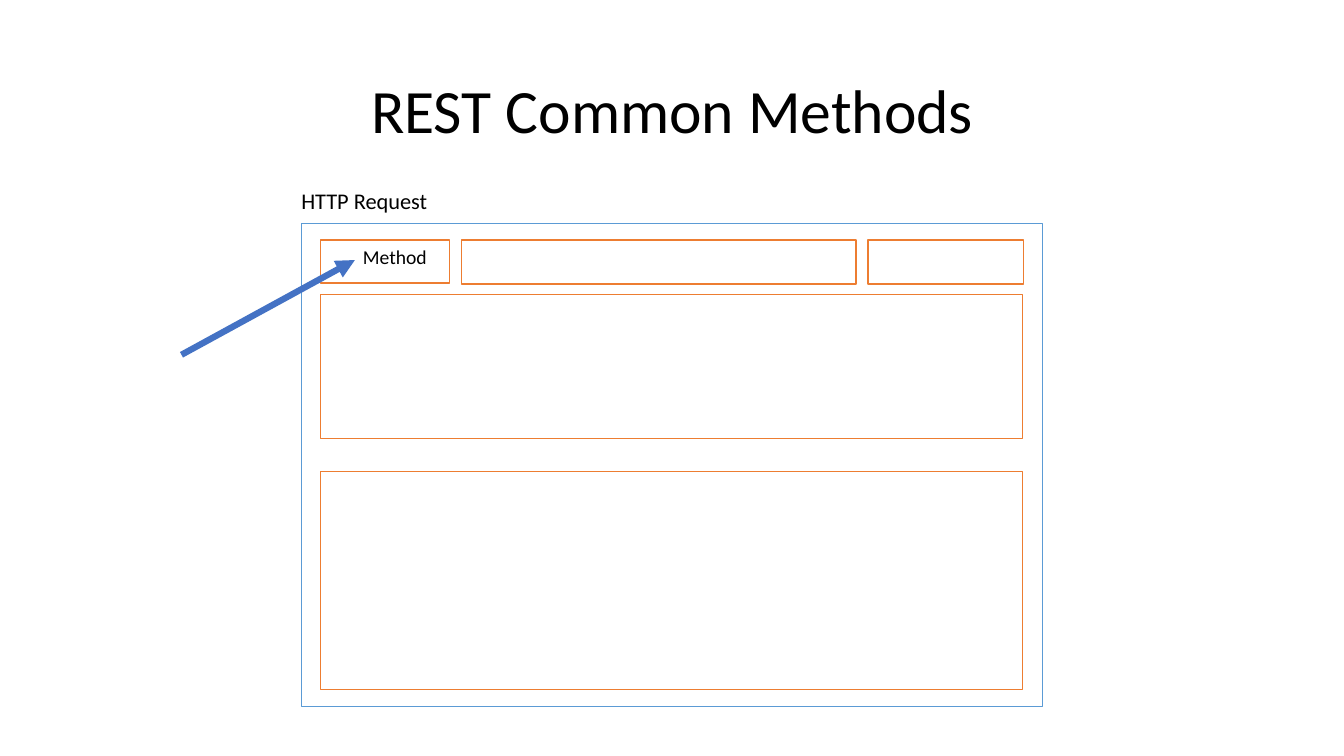
from dataclasses import dataclass

from lxml.etree import SubElement
from pptx import Presentation
from pptx.dml.color import RGBColor
from pptx.enum.shapes import MSO_CONNECTOR as Connector, MSO_SHAPE as Shape
from pptx.enum.text import MSO_ANCHOR as Anchor, MSO_AUTO_SIZE as AutoSize, PP_ALIGN as Align
from pptx.oxml.ns import qn
from pptx.slide import Slide
from pptx.text.text import TextFrame
from pptx.util import Inches, Pt


@dataclass(frozen=True)
class Theme:
    font: str = "Calibri"
    ink: str = "000000"
    paper: str = "FFFFFF"
    request: str = "5B9BD5"
    section: str = "ED7D31"
    arrow: str = "4472C4"
    title_size: int = 44
    caption_size: int = 16
    label_size: int = 14
    outline: float = 1
    arrow_width: float = 4.5


@dataclass(frozen=True)
class Frame:
    left: float
    top: float
    width: float
    height: float
    color: str


@dataclass(frozen=True)
class Label:
    text: str
    left: float
    top: float
    width: float
    height: float
    size: int


THEME = Theme()
SECTION_LEFT = 3.18
SECTION_WIDTH = 6.96
ROW_TOP = 2.38

FRAMES = [
    Frame(2.99, 2.22, 7.35, 4.79, THEME.request),
    Frame(SECTION_LEFT, ROW_TOP, 1.28, 0.43, THEME.section),
    Frame(4.58, ROW_TOP, 3.91, 0.44, THEME.section),
    Frame(8.61, ROW_TOP, 1.54, 0.44, THEME.section),
    Frame(SECTION_LEFT, 2.92, SECTION_WIDTH, 1.43, THEME.section),
    Frame(SECTION_LEFT, 4.68, SECTION_WIDTH, 2.16, THEME.section),
]
LABELS = [
    Label("HTTP Request", 2.89, 1.81, 1.57, 0.37, THEME.caption_size),
    Label("Method", 3.5, ROW_TOP, 0.88, 0.34, THEME.label_size),
]


def write_text(text_frame: TextFrame, text: str, size: int) -> None:
    para = text_frame.paragraphs[0]
    span = para.add_run()
    span.text = text
    for name, value in {"name": THEME.font, "size": Pt(size)}.items():
        setattr(span.font, name, value)
    span.font.color.rgb = RGBColor.from_string(THEME.ink)


def add_title(page: Slide, text: str) -> None:
    title = page.shapes.title
    place = {"left": 0.92, "top": 0.4, "width": 11.5, "height": 1.45}
    for name, value in place.items():
        setattr(title, name, Inches(value))
    write_text(title.text_frame, text, THEME.title_size)
    title.text_frame.vertical_anchor = Anchor.MIDDLE
    for name, value in {"alignment": Align.CENTER, "line_spacing": 0.9}.items():
        setattr(title.text_frame.paragraphs[0], name, value)


def add_frame(page: Slide, frame: Frame) -> None:
    box = page.shapes.add_shape(
        Shape.RECTANGLE, Inches(frame.left), Inches(frame.top),
        Inches(frame.width), Inches(frame.height))
    box.shadow.inherit = False
    box.fill.solid()
    box.fill.fore_color.rgb = RGBColor.from_string(THEME.paper)
    box.line.color.rgb = RGBColor.from_string(frame.color)
    box.line.width = Pt(THEME.outline)


def add_label(page: Slide, label: Label) -> None:
    box = page.shapes.add_textbox(
        Inches(label.left), Inches(label.top),
        Inches(label.width), Inches(label.height))
    settings = {"word_wrap": True, "auto_size": AutoSize.SHAPE_TO_FIT_TEXT}
    for name, value in settings.items():
        setattr(box.text_frame, name, value)
    write_text(box.text_frame, label.text, label.size)


def add_method_arrow(page: Slide) -> None:
    arrow = page.shapes.add_connector(
        Connector.STRAIGHT, Inches(1.8), Inches(3.52), Inches(3.52), Inches(2.58))
    arrow.line.color.rgb = RGBColor.from_string(THEME.arrow)
    arrow.line.width = Pt(THEME.arrow_width)
    properties = arrow._element.spPr
    SubElement(properties.find(qn("a:ln")), qn("a:tailEnd"), type="triangle")
    SubElement(properties, qn("a:effectLst"))


def main() -> None:
    deck = Presentation()
    deck.slide_width = Inches(13.33)
    deck.slide_height = Inches(7.5)
    page = deck.slides.add_slide(deck.slide_layouts.get_by_name("Title Only"))
    add_title(page, "REST Common Methods")
    for frame in FRAMES:
        add_frame(page, frame)
    for label in LABELS:
        add_label(page, label)
    add_method_arrow(page)
    deck.save("out.pptx")


if __name__ == "__main__":
    main()
